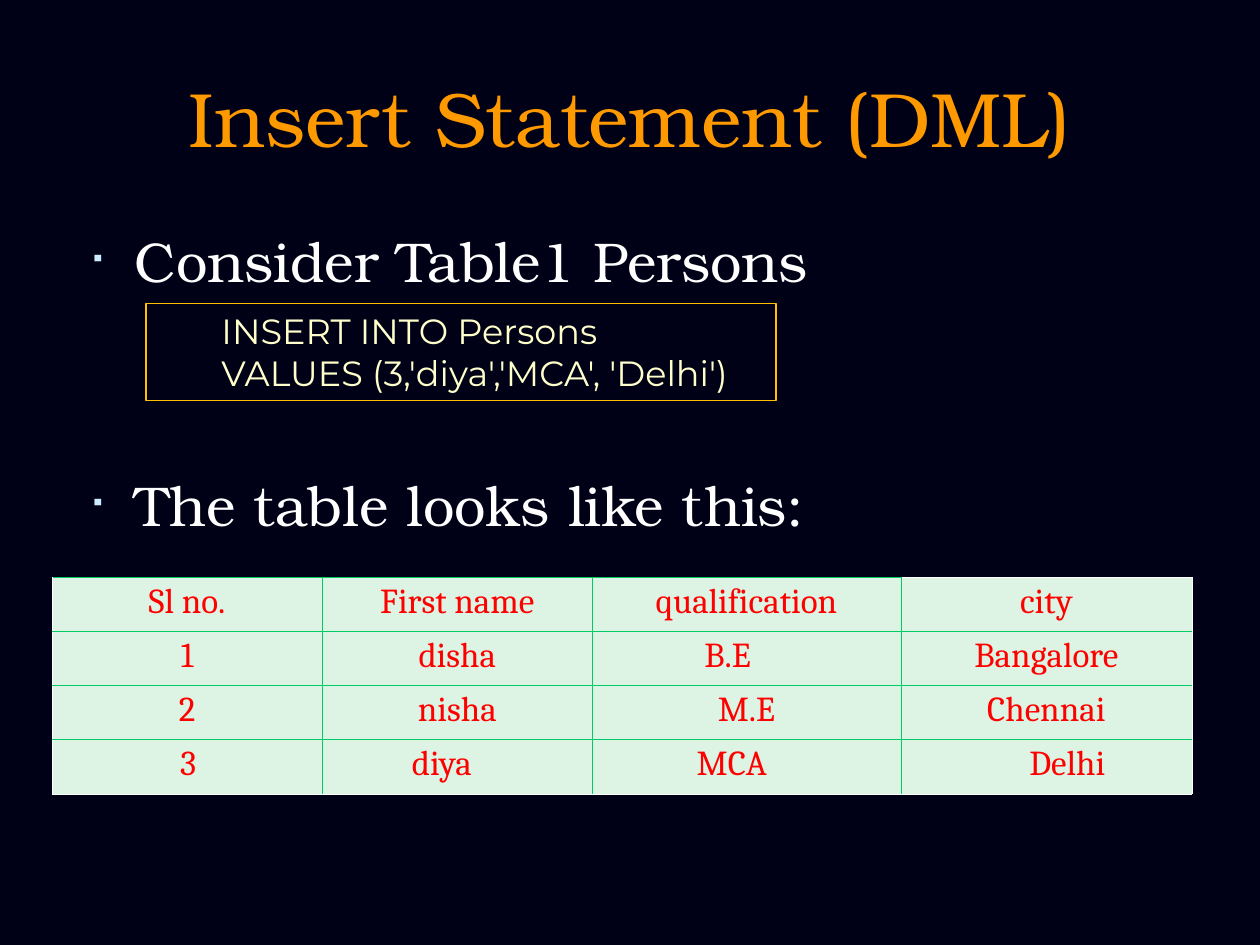
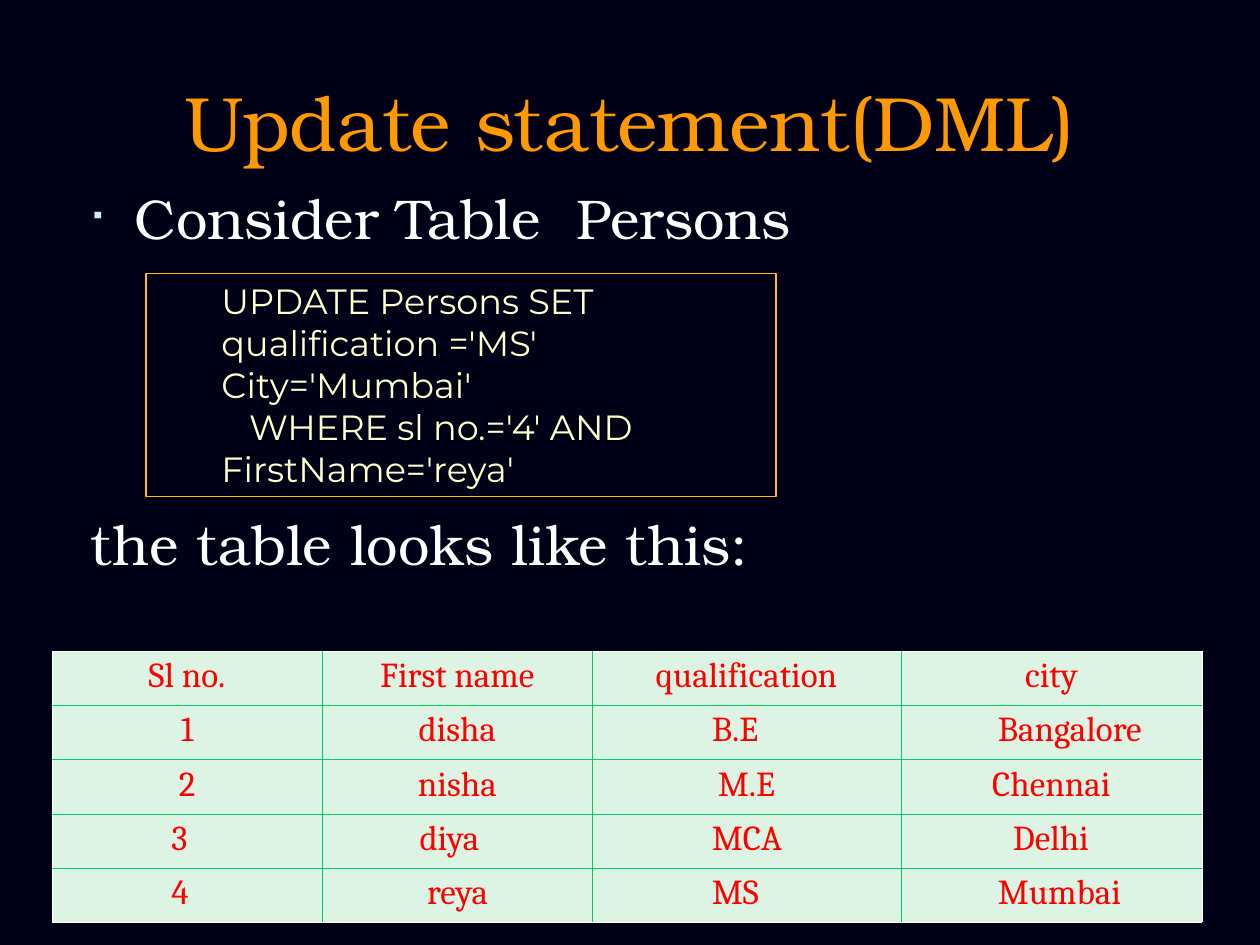
from lxml.etree import SubElement
from pptx import Presentation
from pptx.dml.color import RGBColor
from pptx.enum.shapes import MSO_SHAPE
from pptx.enum.text import MSO_ANCHOR, PP_ALIGN
from pptx.oxml.ns import qn
from pptx.util import Inches, Pt

BACKGROUND, TITLE, BODY, BULLET = "000016", "FF9900", "FFFFFF", "CCECFF"
CODE, CODE_BORDER = "FFFFCC", "FFC000"
CELL_FILL, CELL_TEXT, GRID, EDGE = "DDF3E3", "FF0000", "00CC66", "FFFFFF"
SERIF, SANS, TABLE_FONT = "TeX Gyre Bonum", "Montserrat", "Cambria"
HEADER = ["Sl no.", "First name", "qualification", "city"]
ROW_HEIGHT = 0.43

# A cell given as (text, indent) is left-aligned at that indent; the others are centred.
SLIDES = [
    {
        "title": "Insert Statement (DML)", "title_top": 0.3,
        "body_top": 1.75, "body_height": 2.84,
        "body": [("Consider Table1 Persons", True, 0),
                 ("The table looks like this:", True, 101)],
        "code_top": 2.41, "code_height": 0.77,
        "code": ["INSERT INTO Persons", "VALUES (3,'diya','MCA', 'Delhi')"],
        "table_top": 4.58, "city_width": 2.31, "green_top_columns": 3,
        "rows": [
            HEADER,
            ["1", "disha", ("B.E", 0.89), "Bangalore"],
            ["2", "nisha", "M.E", "Chennai"],
            [("3", 1.02), ("diya", 0.71), ("MCA", 0.83), ("Delhi", 1.02)],
        ],
    },
    {
        "title": "Update statement(DML)", "title_top": 0.33,
        "body_top": 1.41, "body_height": 3.33,
        "body": [("Consider Table  Persons", True, 0),
                 ("the table looks like this:", False, 147.5)],
        "code_top": 2.17, "code_height": 1.77,
        "code": ["UPDATE Persons SET\vqualification ='MS'\vCity='Mumbai'",
                 "   WHERE sl no.='4' AND FirstName='reya'"],
        "table_top": 5.17, "city_width": 2.39, "green_top_columns": 0,
        "rows": [
            HEADER,
            ["1", "disha", ("B.E", 0.95), ("Bangalore", 0.77)],
            ["2", "nisha", "M.E", "Chennai"],
            [("3", 0.95), ("diya", 0.77), ("MCA", 0.95), ("Delhi", 0.89)],
            [("4", 0.95), ("reya", 0.83), ("MS", 0.95), ("Mumbai", 0.77)],
        ],
    },
]


def color(value):
    return RGBColor.from_string(value)


def style(paragraph, font_name, size, font_color):
    """Set the font that all runs of the paragraph share."""
    paragraph.font.name = font_name
    paragraph.font.size = Pt(size)
    paragraph.font.color.rgb = color(font_color)


presentation = Presentation()
presentation.slide_width, presentation.slide_height = Inches(10), Inches(7.5)

for content in SLIDES:
    slide = presentation.slides.add_slide(presentation.slide_layouts[6])
    slide.background.fill.solid()
    slide.background.fill.fore_color.rgb = color(BACKGROUND)

    # Title
    title = slide.shapes.add_textbox(
        Inches(0.5), Inches(content["title_top"]), Inches(9), Inches(1.25)).text_frame
    title.word_wrap = True
    title.vertical_anchor = MSO_ANCHOR.MIDDLE
    title.text = content["title"]
    title.paragraphs[0].alignment = PP_ALIGN.CENTER
    style(title.paragraphs[0], SERIF, 44, TITLE)

    # Body lines
    body = slide.shapes.add_textbox(
        Inches(0.5), Inches(content["body_top"]),
        Inches(9), Inches(content["body_height"])).text_frame
    body.word_wrap = True
    body.text = "\n".join(text for text, _, _ in content["body"])
    for paragraph, (_, bulleted, space_before) in zip(body.paragraphs, content["body"]):
        properties = paragraph._p.get_or_add_pPr()
        properties.set("marL", str(Inches(0.47)))
        properties.set("indent", str(Inches(-0.35)))
        if space_before:
            paragraph.space_before = Pt(space_before)
        if bulleted:
            bullet_color = SubElement(properties, qn("a:buClr"))
            SubElement(bullet_color, qn("a:srgbClr"), val=BULLET)
            SubElement(properties, qn("a:buSzPct"), val="36000")
            SubElement(properties, qn("a:buChar"), char="▪")
        style(paragraph, SERIF, 32, BODY)

    # Table
    rows = content["rows"]
    widths = [2.15, 2.14, 2.45, content["city_width"]]
    table = slide.shapes.add_table(
        len(rows), len(widths), Inches(0.41), Inches(content["table_top"]),
        Inches(sum(widths)), Inches(ROW_HEIGHT * len(rows))).table
    table.first_row = table.horz_banding = False
    for column, width in zip(table.columns, widths):
        column.width = Inches(width)
    for row_index, row in enumerate(rows):
        table.rows[row_index].height = Inches(ROW_HEIGHT)
        for column_index, entry in enumerate(row):
            cell = table.cell(row_index, column_index)
            centred = isinstance(entry, str)
            if centred:
                cell.text = entry
            else:
                cell.text, indent = entry
                cell.margin_left = Inches(indent)
            paragraph = cell.text_frame.paragraphs[0]
            paragraph.alignment = PP_ALIGN.CENTER if centred else PP_ALIGN.LEFT
            paragraph.line_spacing = 0.93
            style(paragraph, TABLE_FONT, 20, CELL_TEXT)

            on_edge = {
                "a:lnL": column_index == 0,
                "a:lnR": column_index == len(row) - 1,
                "a:lnT": row_index == 0 and column_index >= content["green_top_columns"],
                "a:lnB": row_index == len(rows) - 1,
            }
            cell_properties = cell._tc.get_or_add_tcPr()
            for side, is_edge in on_edge.items():
                border = SubElement(cell_properties, qn(side),
                                    w=str(Pt(0.06 if is_edge else 0.45)))
                border_fill = SubElement(border, qn("a:solidFill"))
                SubElement(border_fill, qn("a:srgbClr"), val=EDGE if is_edge else GRID)
            cell.fill.solid()
            cell.fill.fore_color.rgb = color(CELL_FILL)

    # SQL statement
    code_box = slide.shapes.add_shape(
        MSO_SHAPE.RECTANGLE, Inches(1.16), Inches(content["code_top"]),
        Inches(5), Inches(content["code_height"]))
    code_box.shadow.inherit = False
    code_box.fill.background()
    code_box.line.color.rgb = color(CODE_BORDER)
    code_box.line.width = Pt(0.75)
    code = code_box.text_frame
    code.word_wrap = True
    code.vertical_anchor = MSO_ANCHOR.TOP
    code.text = "\n".join(content["code"])
    for paragraph in code.paragraphs:
        paragraph.alignment = PP_ALIGN.LEFT
        paragraph._p.get_or_add_pPr().set("marL", str(Inches(0.5)))
        style(paragraph, SANS, 20, CODE)

presentation.save("out.pptx")
